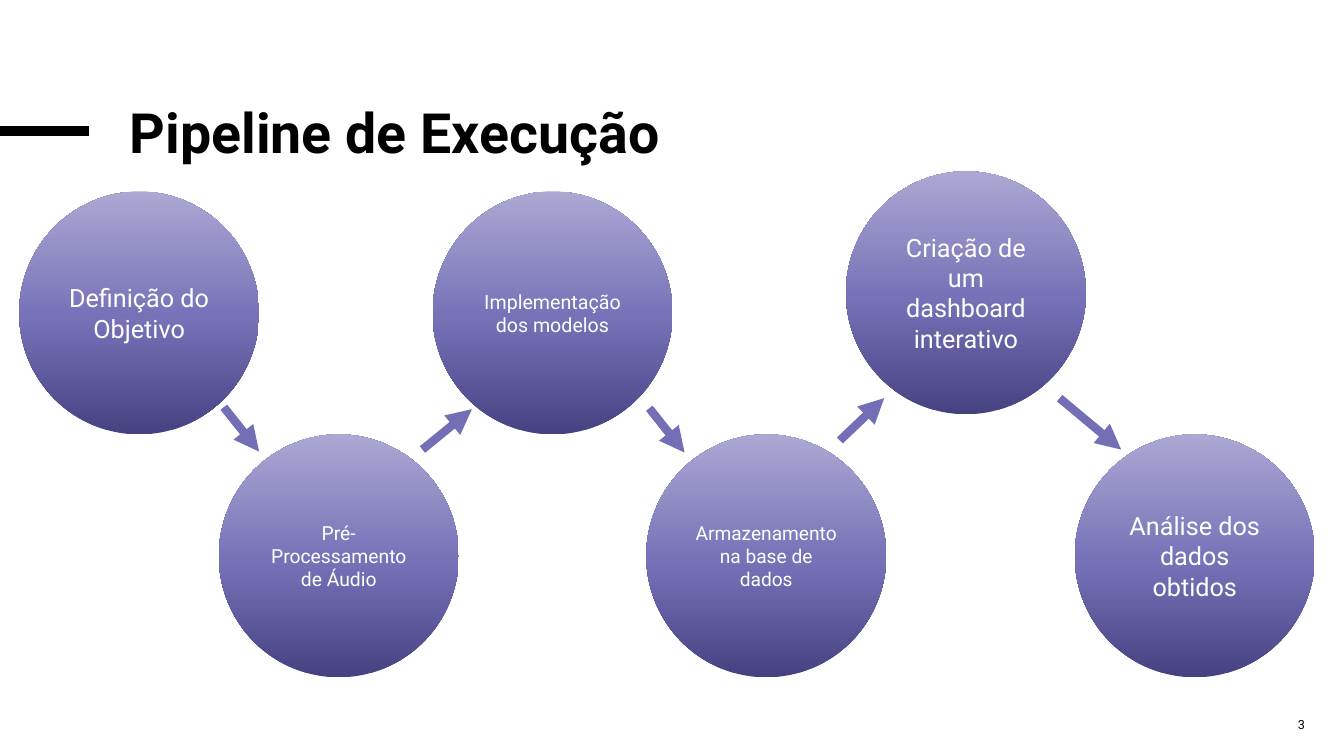
import copy

import pptx
import pptx.dml.color
import pptx.enum.dml
import pptx.enum.shapes
import pptx.enum.text
import pptx.oxml
import pptx.oxml.ns
import pptx.util

Inches = pptx.util.Inches
RGBColor = pptx.dml.color.RGBColor
ALIGN = pptx.enum.text.PP_ALIGN

BLACK = RGBColor(0x00, 0x00, 0x00)
WHITE = RGBColor(0xFF, 0xFF, 0xFF)
ARROW_PURPLE = RGBColor(0x73, 0x6E, 0xB6)
GRADIENT = [
    (0, RGBColor(0x46, 0x42, 0x82)),
    (0.48, RGBColor(0x77, 0x72, 0xB8)),
    (1, RGBColor(0xAB, 0xA8, 0xD3)),
]
FONT = "Roboto"
CIRCLE_WIDTH, CIRCLE_HEIGHT = 2.38, 2.41

# Each step: text, left and top within the pipeline box, font size
STEPS = [
    ("Definição do Objetivo", 0, 0.2, 18),
    ("Pré-Processamento de Áudio", 1.98, 2.61, 13.8),
    ("Implementação dos modelos", 4.1, 0.2, 14),
    ("Armazenamento na base de dados", 6.22, 2.61, 13.7),
    ("Criação de um dashboard interativo", 8.2, 0, 18),
    ("Análise dos dados obtidos", 10.47, 2.61, 18),
]
# Each arrow: start and end within the pipeline box
ARROWS = [
    ((2.03, 2.34), (2.38, 2.78)),
    ((4, 2.76), (4.49, 2.36)),
    ((6.25, 2.35), (6.6, 2.79)),
    ((8.14, 2.67), (8.58, 2.25)),
    ((10.32, 2.25), (10.93, 2.76)),
]


def write_text(shape, text, size, color, align=ALIGN.LEFT, bold=False, spacing=None):
    frame = shape.text_frame
    frame.word_wrap = True
    frame.vertical_anchor = pptx.enum.text.MSO_ANCHOR.MIDDLE
    paragraph = frame.paragraphs[0]
    paragraph.text = text
    paragraph.alignment = align
    paragraph.line_spacing = spacing
    font = paragraph.font
    font.name, font.size, font.bold = FONT, pptx.util.Pt(size), bold
    font.color.rgb = color


def add_line(slide, start, end, color, width, arrow=False):
    line = slide.shapes.add_connector(
        pptx.enum.shapes.MSO_CONNECTOR.STRAIGHT,
        *(Inches(value) for value in (*start, *end)))
    line.line.color.rgb = color
    line.line.width = pptx.util.Pt(width)
    if arrow:
        head = pptx.oxml.parse_xml(
            f'<a:tailEnd {pptx.oxml.ns.nsdecls("a")} type="triangle"/>')
        line.line._get_or_add_ln().append(head)
    line.element.spPr.append(
        pptx.oxml.parse_xml(f'<a:effectLst {pptx.oxml.ns.nsdecls("a")}/>'))


def fill_gradient(shape):
    shape.fill.gradient()
    shape.fill.gradient_angle = 90
    # The default gradient has two stops; a third is needed
    stop_list = shape.element.spPr.find(".//" + pptx.oxml.ns.qn("a:gsLst"))
    stop_list.append(copy.deepcopy(stop_list[-1]))
    for stop, (position, color) in zip(shape.fill.gradient_stops, GRADIENT):
        stop.position = position
        stop.color.rgb = color


def add_title(slide, left, top, width, height):
    # Rule running in from the slide edge
    add_line(slide, (0, top + 0.3), (left - 0.31, top + 0.3), BLACK, 6.75)
    title = slide.shapes.add_textbox(
        Inches(left), Inches(top), Inches(width), Inches(height))
    write_text(title, "Pipeline de Execução", 39.6, BLACK, bold=True, spacing=0.85)


def add_pipeline(slide, left, top):
    # Step circles
    for text, step_left, step_top, size in STEPS:
        circle = slide.shapes.add_shape(
            pptx.enum.shapes.MSO_SHAPE.OVAL,
            Inches(left + step_left), Inches(top + step_top),
            Inches(CIRCLE_WIDTH), Inches(CIRCLE_HEIGHT))
        circle.shadow.inherit = False
        circle.line.fill.background()
        fill_gradient(circle)
        write_text(circle, text, size, WHITE, align=ALIGN.CENTER)
    # Arrows between steps
    for start, end in ARROWS:
        add_line(slide, (left + start[0], top + start[1]),
                 (left + end[0], top + end[1]), ARROW_PURPLE, 6, arrow=True)


def add_slide_number(slide, left, top, width, height):
    number = slide.shapes.add_textbox(
        Inches(left), Inches(top), Inches(width), Inches(height))
    write_text(number, "3", 9, BLACK, align=ALIGN.RIGHT)


def main():
    presentation = pptx.Presentation()
    presentation.slide_width = Inches(13.33)
    presentation.slide_height = Inches(7.5)
    slide = presentation.slides.add_slide(presentation.slide_layouts[6])
    add_title(slide, 1.19, 1, 6.22, 0.71)
    add_pipeline(slide, 0.19, 1.7)
    add_slide_number(slide, 12.01, 6.99, 1.03, 0.4)
    presentation.save("out.pptx")


if __name__ == "__main__":
    main()
